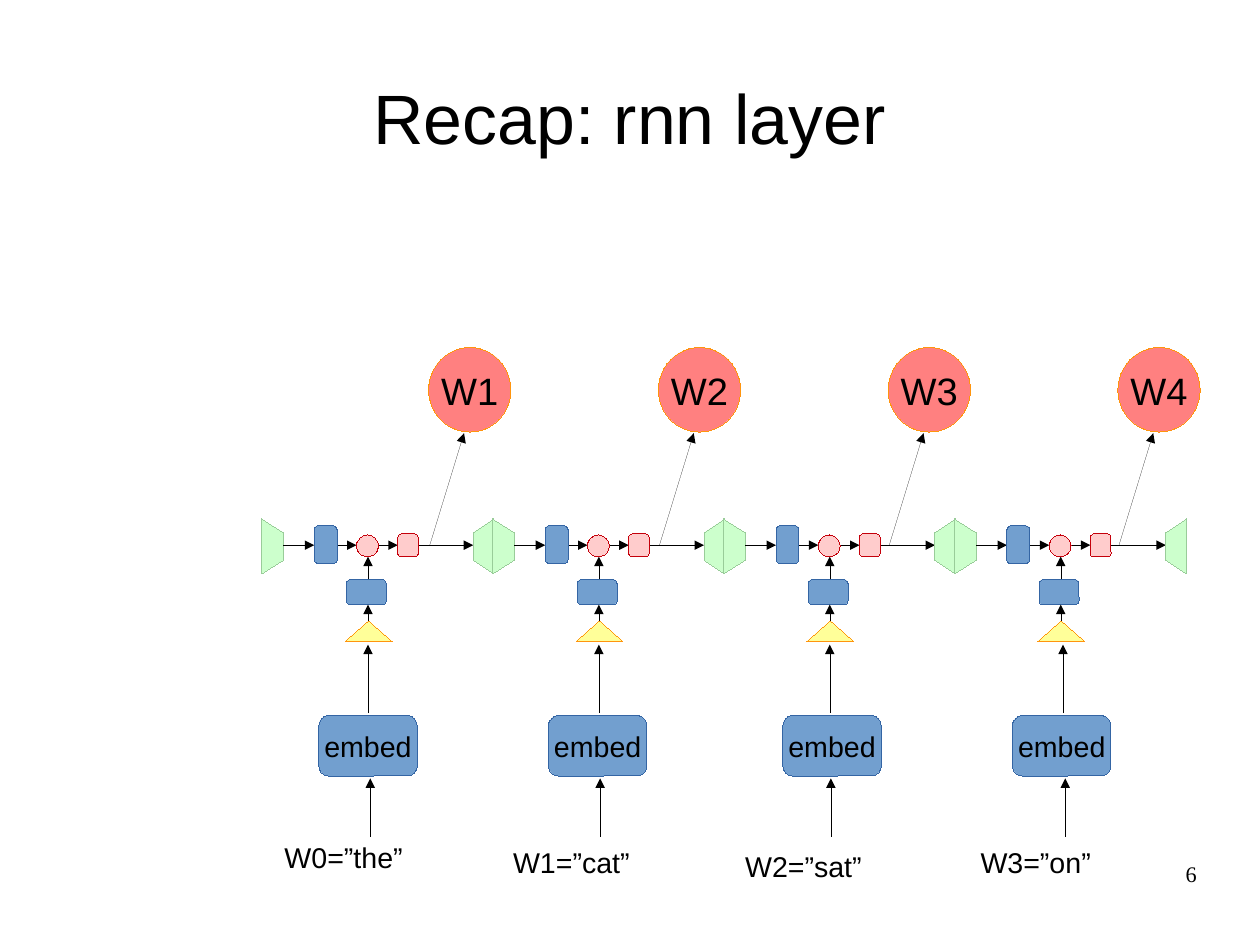
from lxml.etree import SubElement
from pptx import Presentation
from pptx.dml.color import RGBColor
from pptx.enum.shapes import MSO_CONNECTOR, MSO_SHAPE
from pptx.enum.text import MSO_ANCHOR, PP_ALIGN
from pptx.oxml.ns import qn
from pptx.util import Cm, Inches, Pt

BLACK = "000000"
BLUE = ("729FCF", "3465A4")
GREEN = ("CCFFCC", "99CC99")
YELLOW = ("FFFF99", "FF950E")
PINK = ("FFCCCC", "C5000B")
RED = ("FF8080", "FF950E")
AXIS = 4.77


def color(code):
    return RGBColor.from_string(code)


def write(shape, text, size=18, font="Arial", align=PP_ALIGN.LEFT,
          anchor=MSO_ANCHOR.TOP, inset=(0.1, 0.05), wrap=True):
    frame = shape.text_frame
    frame.word_wrap = wrap
    frame.vertical_anchor = anchor
    frame.margin_left = frame.margin_right = Inches(inset[0])
    frame.margin_top = frame.margin_bottom = Inches(inset[1])
    para = frame.paragraphs[0]
    para.alignment = align
    run = para.add_run()
    run.text = text
    run.font.size = Pt(size)
    run.font.name = font
    run.font.color.rgb = color(BLACK)


def trace(shape, code):
    """Give the shape a hairline and return its line element."""
    shape.line.color.rgb = color(code)
    line = shape.get_or_add_ln()
    line.set("w", "0")
    return line


class Deck:
    def __init__(self, width, height):
        self.file = Presentation()
        self.file.slide_width = width
        self.file.slide_height = height
        self.slide = self.file.slides.add_slide(self.file.slide_layouts[5])
        self.shapes = self.slide.shapes

    def title(self, text, *box):
        shape = self.shapes.title
        shape.left, shape.top, shape.width, shape.height = map(Inches, box)
        write(shape, text, size=44, align=PP_ALIGN.CENTER,
              anchor=MSO_ANCHOR.MIDDLE, inset=(0, 0))

    def paint(self, shape, style):
        fill, edge = style
        shape.shadow.inherit = False
        shape.fill.solid()
        shape.fill.fore_color.rgb = color(fill)
        trace(shape, edge)

    def shape(self, kind, style, *box, text=None, size=18):
        shape = self.shapes.add_shape(kind, *map(Inches, box))
        self.paint(shape, style)
        if text:
            write(shape, text, size=size, align=PP_ALIGN.CENTER,
                  anchor=MSO_ANCHOR.MIDDLE, wrap=False)

    def trapeze(self, base, top):
        """State half: its long side at x = base, its short side at x = top."""
        points = [(base, 5.02), (base, 4.54), (top, 4.66), (top, 4.9)]
        points = [(Inches(x), Inches(y)) for x, y in points]
        outline = self.shapes.build_freeform(*points[0], scale=1.0)
        outline.add_line_segments(points[1:], close=True)
        self.paint(outline.convert_to_shape(), GREEN)

    def arrow(self, *ends):
        line = self.shapes.add_connector(MSO_CONNECTOR.STRAIGHT, *map(Inches, ends))
        SubElement(trace(line, BLACK), qn("a:tailEnd"), type="triangle")
        SubElement(line.element.spPr, qn("a:effectLst"))

    def label(self, text, *box, **form):
        write(self.shapes.add_textbox(*map(Inches, box)), text, **form)

    def cell(self, left):
        """One recurrent step that begins at the incoming state."""
        mid = left + 0.93
        self.trapeze(left, left + 0.19)
        for start, end in ((0.19, 0.46), (0.66, 0.83), (1.03, 1.19), (1.37, 1.85)):
            self.arrow(left + start, AXIS, left + end, AXIS)
        self.shape(MSO_SHAPE.ROUNDED_RECTANGLE, BLUE, left + 0.46, 4.6, 0.2, 0.33)
        self.shape(MSO_SHAPE.ROUNDED_RECTANGLE, BLUE, mid - 0.19, 5.07, 0.35, 0.22)
        self.shape(MSO_SHAPE.ISOSCELES_TRIANGLE, YELLOW, mid - 0.2, 5.43, 0.41, 0.18)
        self.arrow(mid, 5.43, mid, 5.29)
        self.arrow(mid, 5.07, mid, 4.87)
        self.shape(MSO_SHAPE.OVAL, PINK, mid - 0.1, 4.68, 0.19, 0.19)
        self.shape(MSO_SHAPE.ROUNDED_RECTANGLE, PINK, left + 1.19, 4.67, 0.18, 0.2)
        self.trapeze(left + 2.03, left + 1.85)

    def source(self, text, left, top, box, enter, leave):
        """Input word, its embedding box and the arrows around it."""
        self.label(text, left, top, 1.45, 0.38)
        self.arrow(enter, 7.32, enter, 6.81)
        self.shape(MSO_SHAPE.ROUNDED_RECTANGLE, BLUE, box, 6.26, 0.86, 0.53, text="embed")
        self.arrow(leave, 6.24, leave, 5.64)

    def output(self, text, left):
        self.arrow(left + 0.01, AXIS, left + 0.31, 3.79)
        self.shape(MSO_SHAPE.OVAL, RED, left, 3.04, 0.72, 0.74, text=text, size=24)


def main():
    deck = Deck(Cm(28), Cm(21))
    deck.title("Recap: rnn layer", 0.55, 0.33, 9.92, 1.38)
    words = [
        ("W0=”the”", 2.39, 7.3, 2.79, 3.24, 3.22),
        ("W1=”cat”", 4.39, 7.34, 4.8, 5.25, 5.24),
        ("W2=”sat”", 6.42, 7.38, 6.85, 7.27, 7.26),
        ("W3=”on”", 8.48, 7.34, 8.86, 9.32, 9.3),
    ]
    for step, word in enumerate(words):
        deck.cell(2.29 + step * 2.02)
        deck.source(*word)
        deck.output(f"W{step + 1}", 3.75 + step * 2.01)
    deck.label("6", 7.9, 7.53, 2.57, 0.57, size=14, font="Times New Roman",
               align=PP_ALIGN.RIGHT, inset=(0, 0))
    deck.file.save("out.pptx")


if __name__ == "__main__":
    main()
